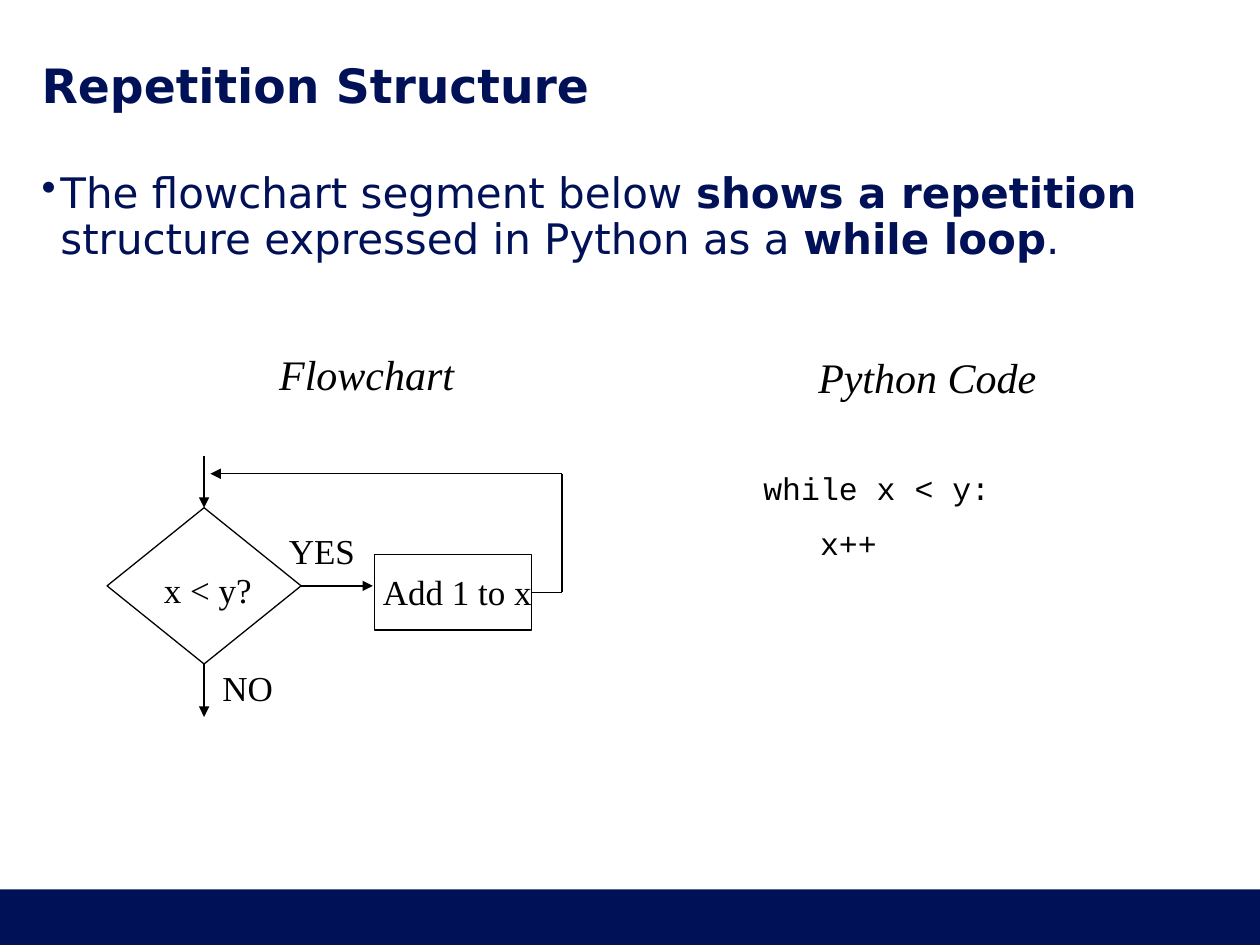
from lxml.etree import SubElement
from pptx import Presentation
from pptx.dml.color import RGBColor
from pptx.enum.shapes import MSO_CONNECTOR, MSO_SHAPE
from pptx.enum.text import MSO_ANCHOR, PP_ALIGN
from pptx.oxml.ns import qn
from pptx.util import Inches, Pt

COLORS = {"navy": "001158", "black": "000000"}
SANS, SERIF, MONO = "DejaVu Sans", "Times New Roman", "Courier New"


def color(name):
    return RGBColor.from_string(COLORS[name])


def write(paragraph, text, font=SERIF, size=20, ink="black", bold=False, italic=False):
    run = paragraph.add_run()
    run.text = text
    run.font.name, run.font.size = font, Pt(size)
    run.font.bold, run.font.italic = bold, italic
    run.font.color.rgb = color(ink)


class FlowSlide:
    """Holds the slide and its line style."""

    line_width = Pt(0.75)

    def __init__(self, slide):
        self.slide = slide

    def frame(self, left, top, width, height, inset=True):
        box = self.slide.shapes.add_textbox(
            Inches(left), Inches(top), Inches(width), Inches(height))
        frame = box.text_frame
        frame.word_wrap = True
        if not inset:
            frame.margin_left = frame.margin_right = 0
            frame.margin_top = frame.margin_bottom = 0
        return frame

    def label(self, text, left, top, width, height, **style):
        paragraph = self.frame(left, top, width, height).paragraphs[0]
        paragraph.alignment = PP_ALIGN.CENTER
        write(paragraph, text, **style)

    def shape(self, preset, left, top, width, height, fill=None):
        shape = self.slide.shapes.add_shape(
            preset, Inches(left), Inches(top), Inches(width), Inches(height))
        shape.shadow.inherit = False
        if fill:
            shape.fill.solid()
            shape.fill.fore_color.rgb = color(fill)
            shape.line.fill.background()
        else:
            shape.fill.background()
            shape.line.color.rgb = color("black")
            shape.line.width = self.line_width
        return shape

    def line(self, start, end, arrow=True, begin=None, finish=None):
        line = self.slide.shapes.add_connector(
            MSO_CONNECTOR.STRAIGHT, *map(Inches, start + end))
        if begin:
            line.begin_connect(*begin)
        if finish:
            line.end_connect(*finish)
        line.line.color.rgb = color("black")
        line.line.width = self.line_width
        if arrow:
            SubElement(line.line._get_or_add_ln(), qn("a:tailEnd"), type="triangle")
        SubElement(line._element.spPr, qn("a:effectLst"))

    def bullet(self, paragraph, indent):
        properties = paragraph._p.get_or_add_pPr()
        properties.set("marL", str(Inches(indent)))
        properties.set("indent", str(-Inches(indent)))
        bullet_color = SubElement(properties, qn("a:buClr"))
        SubElement(bullet_color, qn("a:srgbClr"), val=COLORS["navy"])
        SubElement(properties, qn("a:buChar"), char="•")


def main():
    presentation = Presentation()
    presentation.slide_width, presentation.slide_height = Inches(10), Inches(7.5)
    page = FlowSlide(presentation.slides.add_slide(presentation.slide_layouts[6]))

    # Footer band
    page.shape(MSO_SHAPE.RECTANGLE, 0, 7.06, 10, 0.44, fill="navy")

    # Title
    title = page.frame(0.33, 0.44, 9.34, 0.47, inset=False)
    title.vertical_anchor = MSO_ANCHOR.MIDDLE
    write(title.paragraphs[0], "Repetition Structure",
          font=SANS, size=27, ink="navy", bold=True)

    # Statement, with its key words in bold
    statement = page.frame(0.33, 1.37, 9.34, 5.24, inset=False).paragraphs[0]
    statement.line_spacing = 0.9
    page.bullet(statement, 0.15)
    for text, bold in (("The flowchart segment below ", False),
                       ("shows a repetition ", True),
                       ("structure expressed in Python as a ", False),
                       ("while loop", True), (".", False)):
        write(statement, text, font=SANS, size=24, ink="navy", bold=bold)

    # Python code
    code = page.frame(5.96, 3.67, 3.21, 0.85)
    write(code.paragraphs[0], "while x < y:", font=MONO, size=18)
    loop_body = code.add_paragraph()
    loop_body.space_before = Pt(10)
    write(loop_body, "   x++", font=MONO, size=18)

    # Column headings
    page.label("Python Code", 6.11, 2.74, 2.5, 0.5, size=24, italic=True)
    page.label("Flowchart", 2.04, 2.72, 1.74, 0.5, size=24, italic=True)

    # Flowchart nodes
    decision = page.shape(MSO_SHAPE.FLOWCHART_DECISION, 0.85, 4.03, 1.54, 1.24)
    step = page.shape(MSO_SHAPE.RECTANGLE, 2.97, 4.4, 1.25, 0.6)

    # Entry and the two exits of the decision
    page.line((1.62, 3.62), (1.62, 4.03), finish=(decision, 0))
    page.line((2.39, 4.65), (2.96, 4.65), begin=(decision, 3))
    page.line((1.62, 5.27), (1.62, 5.69), begin=(decision, 2))

    # Loop back from the step to the entry
    page.line((4.22, 4.7), (4.46, 4.7), arrow=False, begin=(step, 3))
    page.line((4.46, 4.7), (4.46, 3.76), arrow=False)
    page.line((4.46, 3.76), (1.67, 3.76))

    # Flowchart labels
    for text, left, top, width in (("x < y?", 1.13, 4.46, 1.04),
                                   ("Add 1 to x", 2.92, 4.48, 1.42),
                                   ("YES", 2.13, 4.15, 0.85),
                                   ("NO", 1.54, 5.24, 0.85)):
        page.label(text, left, top, width, 0.43)

    presentation.save("out.pptx")


if __name__ == "__main__":
    main()
